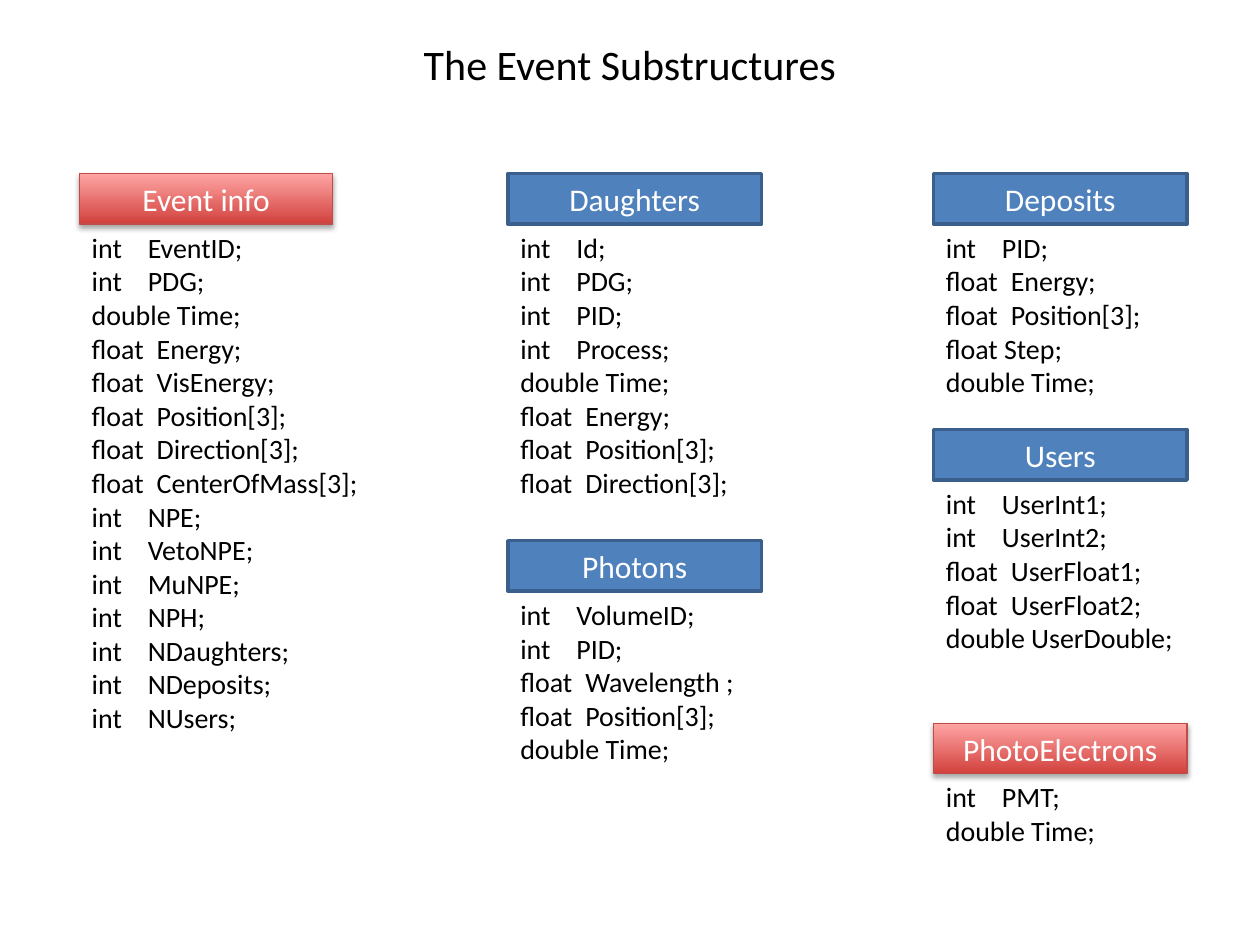
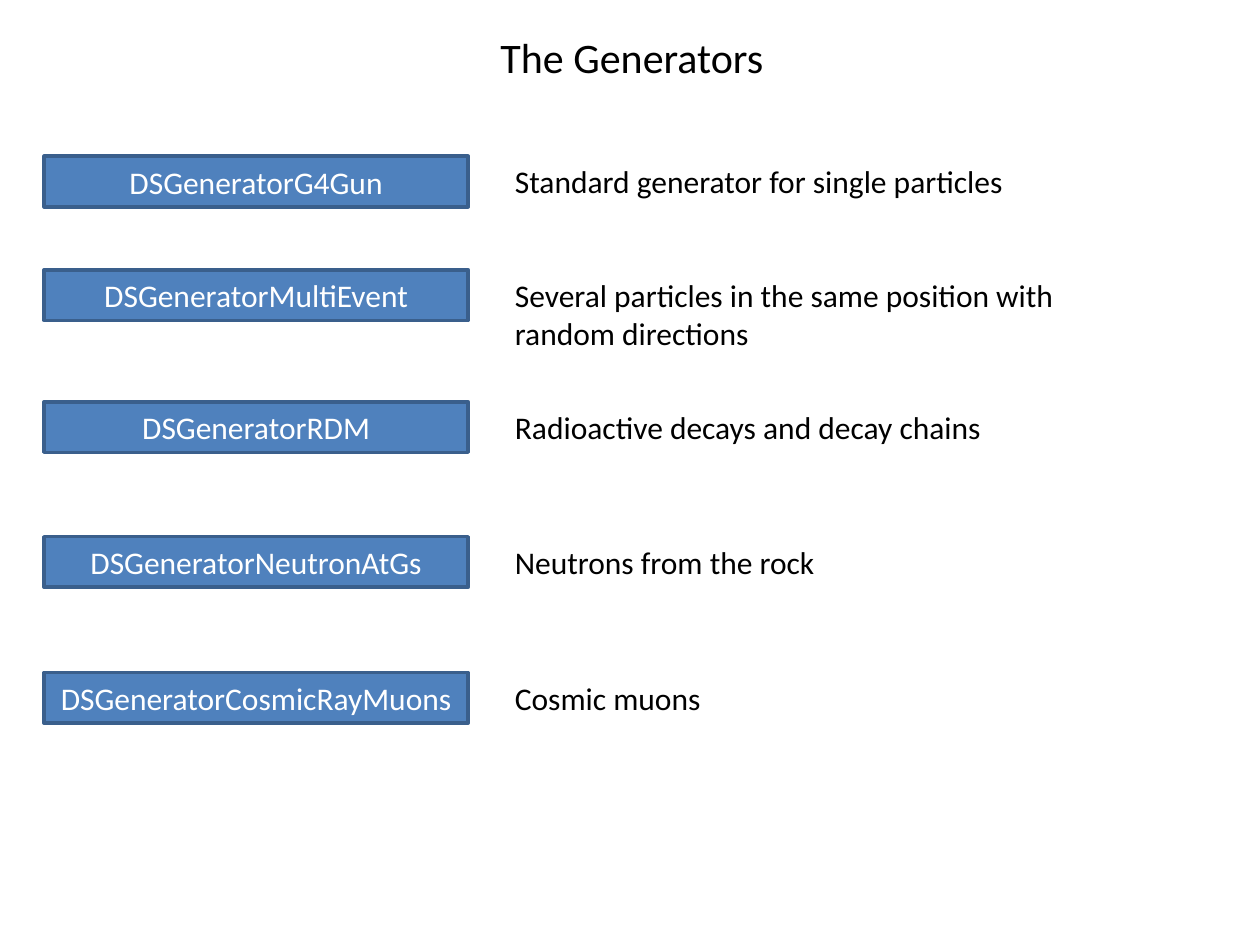
from lxml.etree import SubElement
from pptx import Presentation
from pptx.dml.color import RGBColor
from pptx.enum.shapes import MSO_SHAPE as Shape
from pptx.enum.text import MSO_ANCHOR as Anchor, PP_ALIGN as Align
from pptx.oxml.ns import qn
from pptx.util import Cm, Pt

BLACK = RGBColor(0x00, 0x00, 0x00)
WHITE = RGBColor(0xFF, 0xFF, 0xFF)
BLUE = RGBColor(0x4F, 0x81, 0xBD)
BLUE_EDGE = RGBColor(0x3A, 0x5F, 0x8C)
RED = RGBColor(0xD1, 0x40, 0x3C)
PINK = RGBColor(0xFF, 0xA6, 0xA5)
RED_EDGE = RGBColor(0xBF, 0x4C, 0x48)

FONT = "Calibri"
HEADER_HEIGHT = 1.02
STRUCT_WIDTH = 5.11
MEMBERS_WIDTH = 6
NAME_STOPS = {"int": 1.13, "float": 1.31}

LEFT, MIDDLE, RIGHT = 1.6, 10.24, 18.82
STRUCTS = [
    ("Event info", LEFT, 3.5, True, [
        "int\tEventID;", "int\tPDG;", "double Time;", "float\tEnergy;",
        "float\tVisEnergy;", "float\tPosition[3];", "float\tDirection[3];",
        "float\tCenterOfMass[3];", "int\tNPE;", "int\tVetoNPE;",
        "int\tMuNPE;", "int\tNPH;", "int\tNDaughters;", "int\tNDeposits;",
        "int\tNUsers;"]),
    ("Daughters", MIDDLE, 3.5, False, [
        "int\tId;", "int\tPDG;", "int\tPID;", "int\tProcess;",
        "double Time;", "float\tEnergy;", "float\tPosition[3];",
        "float\tDirection[3];"]),
    ("Photons", MIDDLE, 10.9, False, [
        "int\tVolumeID;", "int\tPID;", "float\tWavelength ;",
        "float\tPosition[3];", "double Time;"]),
    ("Deposits", RIGHT, 3.5, False, [
        "int\tPID;", "float\tEnergy;", "float\tPosition[3];",
        "float Step;", "double Time;"]),
    ("Users", RIGHT, 8.66, False, [
        "int\tUserInt1;", "int\tUserInt2;", "float\tUserFloat1;",
        "float\tUserFloat2;", "double UserDouble;"]),
    ("PhotoElectrons", RIGHT, 14.58, True, [
        "int\tPMT;", "double Time;"]),
]

GENERATORS = [
    ("DSGeneratorG4Gun", 3.15, "Standard generator for single particles"),
    ("DSGeneratorMultiEvent", 5.44,
     "Several particles in the same position with random directions"),
    ("DSGeneratorRDM", 8.1, "Radioactive decays and decay chains"),
    ("DSGeneratorNeutronAtGs", 10.82, "Neutrons from the rock"),
    ("DSGeneratorCosmicRayMuons", 13.56, "Cosmic muons"),
]


def style_text(frame, size, color, align):
    frame.word_wrap = True
    for paragraph in frame.paragraphs:
        paragraph.alignment = align
        for run in paragraph.runs:
            run.font.name = FONT
            run.font.size = Pt(size)
            run.font.color.rgb = color


def add_text(slide, text, left, top, width, height, size, align=Align.LEFT):
    frame = slide.shapes.add_textbox(
        Cm(left), Cm(top), Cm(width), Cm(height)).text_frame
    frame.text = text
    style_text(frame, size, BLACK, align)
    return frame


def add_title(slide, text, left, top):
    add_text(slide, text, left, top, 9, 1.28, 24, Align.CENTER)


def add_soft_shadow(header):
    effects = header._element.spPr.find(qn("a:effectLst"))
    shadow = SubElement(effects, qn("a:outerShdw"), blurRad=str(Pt(3.1)),
                        dist=str(Pt(1.8)), dir="5400000", rotWithShape="0")
    tint = SubElement(shadow, qn("a:srgbClr"), val=str(BLACK))
    SubElement(tint, qn("a:alpha"), val="35000")


def paint_red(header):
    header.fill.gradient()
    header.fill.gradient_angle = 90
    for stop, color in zip(header.fill.gradient_stops, (RED, PINK)):
        stop.color.rgb = color
    header.line.color.rgb = RED_EDGE
    header.line.width = Pt(0.75)
    add_soft_shadow(header)


def paint_blue(header):
    header.fill.solid()
    header.fill.fore_color.rgb = BLUE
    header.line.color.rgb = BLUE_EDGE
    header.line.width = Pt(2)


def add_header(slide, text, left, top, width, red=False):
    header = slide.shapes.add_shape(
        Shape.RECTANGLE, Cm(left), Cm(top), Cm(width), Cm(HEADER_HEIGHT))
    header.shadow.inherit = False
    if red:
        paint_red(header)
    else:
        paint_blue(header)
    header.text_frame.text = text
    header.text_frame.vertical_anchor = Anchor.MIDDLE
    style_text(header.text_frame, 18, WHITE, Align.CENTER)


def add_members(slide, members, left, top):
    height = 0.25 + 0.68 * len(members)
    frame = add_text(slide, "\n".join(members), left, top,
                     MEMBERS_WIDTH, height, 16)
    for paragraph, member in zip(frame.paragraphs, members):
        if "\t" in member:
            stop = NAME_STOPS[member.split("\t")[0]]
            stops = SubElement(paragraph._p.get_or_add_pPr(), qn("a:tabLst"))
            SubElement(stops, qn("a:tab"), pos=str(Cm(stop)), algn="l")


def add_substructures(slide):
    add_title(slide, "The Event Substructures", 8.2, 0.66)
    for name, left, top, red, members in STRUCTS:
        add_header(slide, name, left, top, STRUCT_WIDTH, red)
        add_members(slide, members, left, top + HEADER_HEIGHT)


def add_generators(slide):
    add_title(slide, "The Generators", 8.24, 0.51)
    for name, top, purpose in GENERATORS:
        add_header(slide, name, 0.89, top, 8.55)
        add_text(slide, purpose, 10.13, top, 13.03, HEADER_HEIGHT, 18)


def main():
    deck = Presentation()
    deck.slide_width, deck.slide_height = Cm(25.4), Cm(19.05)
    blank = deck.slide_layouts[6]
    add_substructures(deck.slides.add_slide(blank))
    add_generators(deck.slides.add_slide(blank))
    deck.save("out.pptx")


if __name__ == "__main__":
    main()
